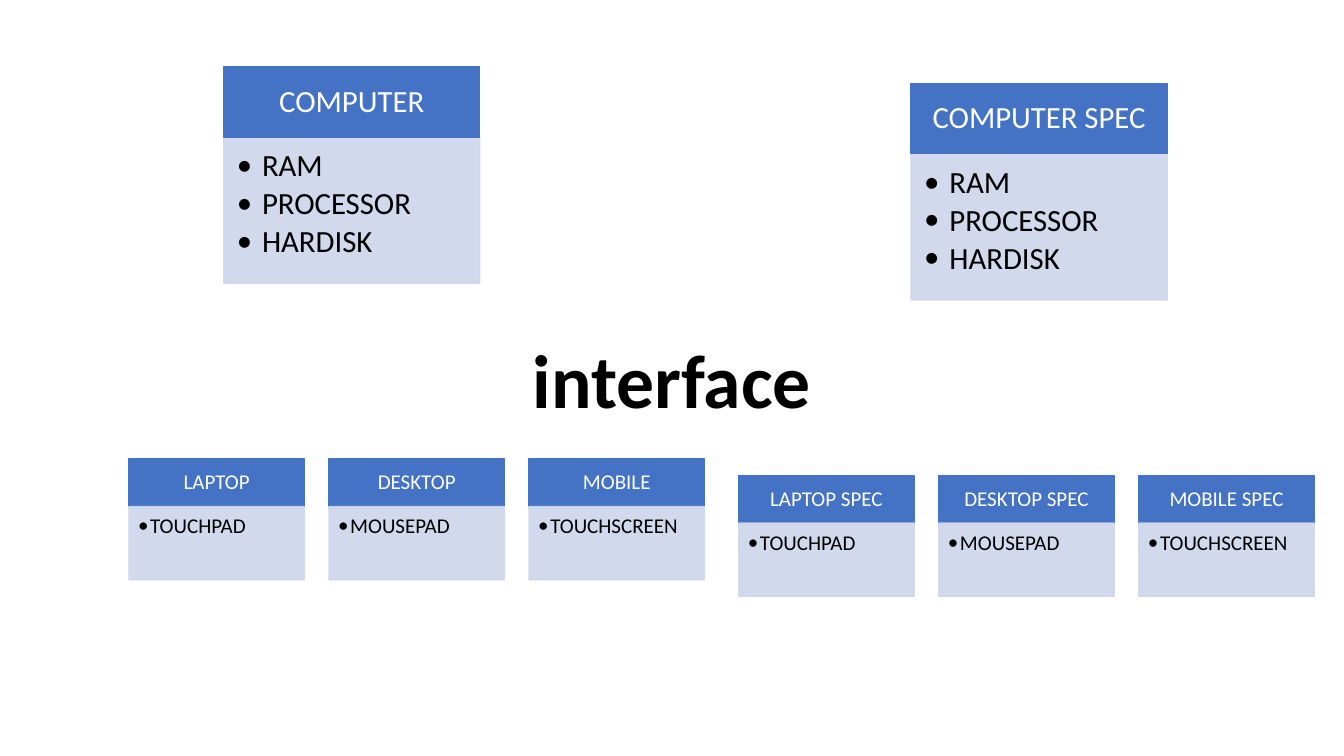
"""Build a slide of computer classes and their specs around an interface."""
from dataclasses import dataclass

from lxml.etree import SubElement
from pptx import Presentation
from pptx.dml.color import RGBColor
from pptx.enum.shapes import MSO_SHAPE as Shape
from pptx.enum.text import MSO_ANCHOR as Anchor, MSO_AUTO_SIZE as AutoSize, PP_ALIGN as Align
from pptx.oxml import parse_xml
from pptx.oxml.ns import nsdecls, qn
from pptx.util import Emu, Pt

PX = 4572


@dataclass(frozen=True)
class Theme:
    """Colours, type sizes and font of the slide."""
    header: str = "4472C4"
    panel: str = "CFD5EA"
    light: str = "FFFFFF"
    dark: str = "000000"
    font: str = "Calibri"
    title_pt: int = 54
    large_pt: int = 22
    small_pt: int = 15


@dataclass(frozen=True)
class CardSize:
    """Measures of one kind of class card."""
    width: int
    header_height: int
    list_height: int
    points: int
    header_margins: tuple
    list_margins: tuple
    indent: int


def px(length):
    """Turn px into EMU."""
    return Emu(length * PX)


def apply(target, values):
    """Set each named attribute on the target."""
    for name, value in values.items():
        setattr(target, name, value)


class ClassDiagram:
    """Draws class cards and a heading on the current slide."""

    def __init__(self, slide, theme):
        """Keep the slide and the theme."""
        self.slide = slide
        self.theme = theme

    def place(self, shape, box):
        """Move a shape to its box."""
        apply(shape, dict(zip(("left", "top", "width", "height"), map(px, box))))

    def paint(self, shape, colour, alpha=None):
        """Give a shape its fill and matching outline."""
        shape.fill.solid()
        shape.line.width = Pt(1)
        shape.line.fill.solid()
        for fill in (shape.fill, shape.line.fill):
            fill.fore_color.rgb = RGBColor.from_string(colour)
        if alpha:
            for tint in shape._element.spPr.iter(qn("a:srgbClr")):
                SubElement(tint, qn("a:alpha"), val=str(alpha * 1000))

    def frame(self, shape, margins, anchor, wrap=True):
        """Set the margins and anchor of a text frame."""
        sides = ("margin_left", "margin_top", "margin_right", "margin_bottom")
        apply(shape.text_frame, {
            "auto_size": AutoSize.NONE, "word_wrap": wrap, "vertical_anchor": anchor,
            **dict(zip(sides, map(px, margins))),
        })

    def add_text(self, paragraph, text, points, colour, bold=False, **layout):
        """Add one formatted run to a paragraph."""
        apply(paragraph, {"space_before": Pt(0), **layout})
        run = paragraph.add_run()
        run.text = text
        apply(run.font, {"name": self.theme.font, "size": Pt(points), "bold": bold})
        run.font.color.rgb = RGBColor.from_string(colour)
        return run

    def rectangle(self, box):
        """Add a rectangle without a shadow."""
        shape = self.slide.shapes.add_shape(Shape.RECTANGLE, *map(px, box))
        shape.shadow.inherit = False
        return shape

    def heading(self, text, box):
        """Set the heading in the title placeholder."""
        title = self.slide.shapes.title
        self.place(title, box)
        self.frame(title, (20, 10, 20, 10), Anchor.TOP, wrap=False)
        run = self.add_text(title.text_frame.paragraphs[0], text, self.theme.title_pt,
                            self.theme.dark, bold=True, alignment=Align.CENTER)
        run.font._element.insert(0, parse_xml(
            f'<a:ln {nsdecls("a")} w="9525"><a:solidFill>'
            f'<a:srgbClr val="{self.theme.light}"/></a:solidFill></a:ln>'))

    def bullet(self, paragraph, indent):
        """Give a paragraph a hanging bullet."""
        properties = paragraph._p.get_or_add_pPr()
        for name, value in {"marL": indent, "indent": -indent}.items():
            properties.set(name, str(int(px(value))))
        SubElement(properties, qn("a:buFont"), typeface=self.theme.font)
        SubElement(properties, qn("a:buChar"), char="•")

    def card(self, name, parts, left, top, size, placeholder=None):
        """Draw a class name above the list of its parts."""
        header = self.rectangle((left, top, size.width, size.header_height))
        self.paint(header, self.theme.header)
        self.frame(header, size.header_margins, Anchor.MIDDLE)
        self.add_text(header.text_frame.paragraphs[0], name, size.points, self.theme.light,
                      alignment=Align.CENTER, line_spacing=0.9)

        box = (left, top + size.header_height, size.width, size.list_height)
        panel = placeholder or self.rectangle(box)
        self.place(panel, box)
        self.paint(panel, self.theme.panel, alpha=90)
        self.frame(panel, size.list_margins, Anchor.TOP)
        for index, part in enumerate(parts):
            text = panel.text_frame
            paragraph = text.add_paragraph() if index else text.paragraphs[0]
            self.bullet(paragraph, size.indent)
            self.add_text(paragraph, part, size.points, self.theme.dark, alignment=Align.LEFT,
                          line_spacing=0.9, space_after=Pt(size.points * 0.15))


def main():
    """Build and save the slide."""
    deck = Presentation()
    apply(deck, {"slide_width": px(2667), "slide_height": px(1500)})
    slide = deck.slides.add_slide(deck.slide_layouts[3])
    theme = Theme()
    diagram = ClassDiagram(slide, theme)

    base = CardSize(508, 139, 290, theme.large_pt, (34, 20, 34, 20), (26, 26, 34, 38), 50)
    device = CardSize(348, 95, 145, theme.small_pt, (24, 14, 24, 14), (18, 18, 24, 26), 24)
    device_pitch = 397
    computer_parts = ("RAM", "PROCESSOR", "HARDISK")
    devices = (("LAPTOP", "TOUCHPAD"), ("DESKTOP", "MOUSEPAD"), ("MOBILE", "TOUCHSCREEN"))
    families = (
        ("", 1, (444, 133), (256, 910)),
        (" SPEC", 2, (1808, 166), (1466, 943)),
    )

    for suffix, list_index, (base_left, base_top), (row_left, row_top) in families:
        diagram.card("COMPUTER" + suffix, computer_parts, base_left, base_top, base,
                     slide.placeholders[list_index])
        for column, (name, part) in enumerate(devices):
            diagram.card(name + suffix, (part,), row_left + column * device_pitch,
                         row_top, device)

    diagram.heading("interface", (1034, 650, 598, 202))
    deck.save("out.pptx")


if __name__ == "__main__":
    main()
